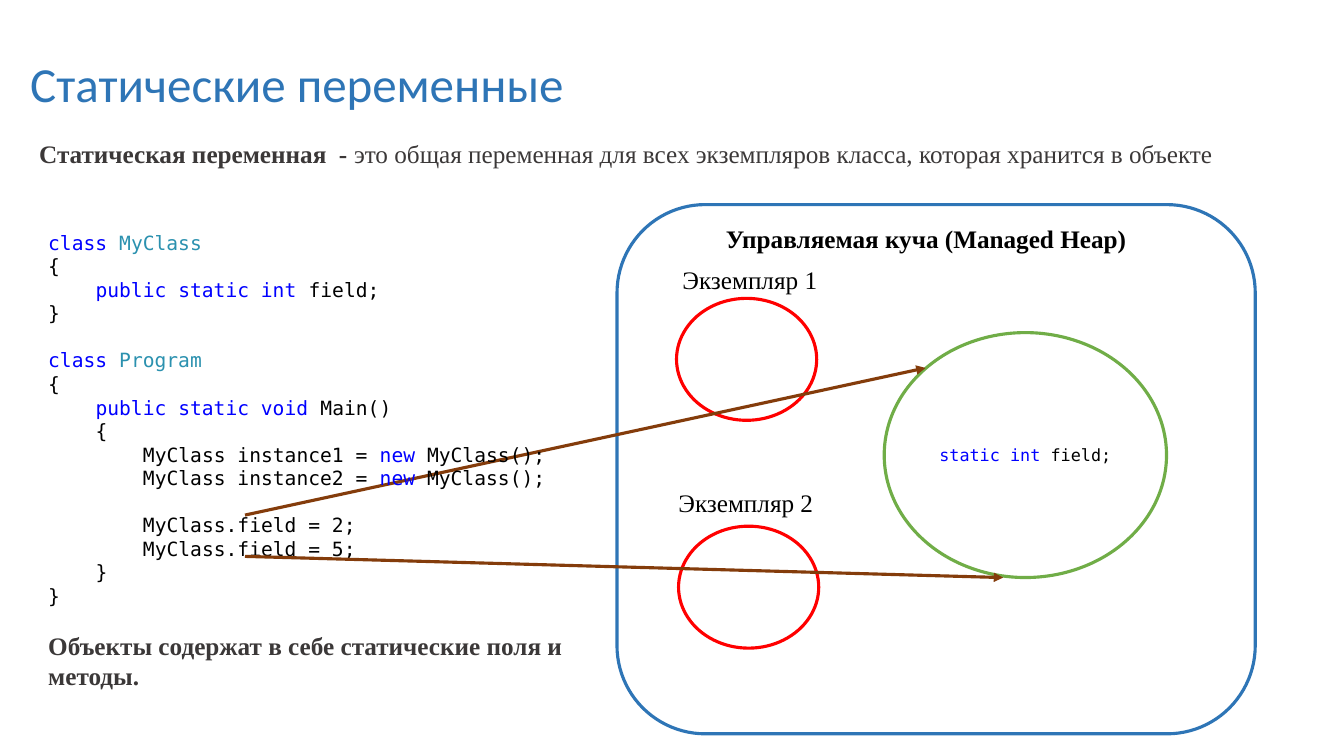
"""Build a slide on static variables: code on the left, the managed heap on the right."""
import pptx
import pptx.util
import pptx.dml.color
import pptx.enum.shapes
import pptx.enum.text
import pptx.oxml
import pptx.oxml.ns

Inches, Pt = pptx.util.Inches, pptx.util.Pt
RGB = pptx.dml.color.RGBColor
SHAPE = pptx.enum.shapes.MSO_SHAPE
ALIGN = pptx.enum.text.PP_ALIGN

BLUE = RGB(0x2E, 0x75, 0xB6)
GREEN = RGB(0x70, 0xAD, 0x47)
RED = RGB(0xFF, 0x00, 0x00)
BROWN = RGB(0x84, 0x3C, 0x0B)
GREY = RGB(0x3B, 0x38, 0x38)
BLACK = RGB(0x00, 0x00, 0x00)
WHITE = RGB(0xFF, 0xFF, 0xFF)
KEYWORD = RGB(0x00, 0x00, 0xFF)
TYPE = RGB(0x2B, 0x91, 0xAF)
SERIF, MONO = "Times New Roman", "DejaVu Sans Mono"
LINE_WIDTH = Pt(2.25)
INDENT = Inches(0.47)

prs = pptx.Presentation()
prs.slide_width, prs.slide_height = Inches(13.33), Inches(7.5)
s = prs.slides.add_slide(prs.slide_layouts[5])


def add_run(p, text, font, size, color, bold=False):
    r = p.add_run()
    r.text = text
    r.font.name, r.font.size, r.font.bold = font, Pt(size), bold
    r.font.color.rgb = color


def add_box(left, top, width, height):
    sp = s.shapes.add_textbox(Inches(left), Inches(top), Inches(width), Inches(height))
    sp.text_frame.word_wrap = True
    return sp.text_frame


title = s.shapes.title
title.left, title.top = Inches(0.2), Inches(0.48)
title.width, title.height = Inches(5.54), Inches(0.69)
title.text_frame.word_wrap = False
title.text_frame.auto_size = pptx.enum.text.MSO_AUTO_SIZE.NONE
p = title.text_frame.paragraphs[0]
p.alignment = ALIGN.LEFT
add_run(p, "Статические переменные", "Calibri", 35, BLUE)

p = add_box(0.29, 1.32, 12.47, 0.4).paragraphs[0]
add_run(p, "Статическая переменная  - ", SERIF, 18, GREY, True)
add_run(p, "это общая переменная для всех экземпляров класса, которая хранится в объекте",
        SERIF, 18, GREY)

outlines = [
    (SHAPE.ROUNDED_RECTANGLE, 6.12, 2.03, 6.33, 5.25, BLUE),
    (SHAPE.OVAL, 6.71, 2.96, 1.39, 1.21, RED),
    (SHAPE.OVAL, 6.73, 5.22, 1.39, 1.21, RED),
    (SHAPE.OVAL, 8.77, 3.3, 2.8, 2.43, GREEN),
]
for kind, left, top, width, height, color in outlines:
    sp = s.shapes.add_shape(kind, Inches(left), Inches(top), Inches(width), Inches(height))
    sp.shadow.inherit = False
    sp.fill.solid()
    sp.fill.fore_color.rgb = WHITE
    sp.line.color.rgb = color
    sp.line.width = LINE_WIDTH

static_object = sp
p = static_object.text_frame.paragraphs[0]
p.alignment = ALIGN.CENTER
add_run(p, "static int", MONO, 12, KEYWORD)
add_run(p, " field;", MONO, 12, BLACK)

labels = [
    ("Управляемая куча (Managed Heap)", 7.1, 2.17, 4.29, 0.4, BLACK, True),
    ("Экземпляр 1", 6.67, 2.57, 1.85, 0.4, BLACK, False),
    ("Экземпляр 2", 6.63, 4.79, 1.85, 0.4, BLACK, False),
    ("Объекты содержат в себе статические поля и методы.",
     0.38, 6.2, 5.45, 0.71, GREY, True),
]
for text, left, top, width, height, color, bold in labels:
    p = add_box(left, top, width, height).paragraphs[0]
    add_run(p, text, SERIF, 18, color, bold)

arrows = []
for x1, y1, x2, y2 in [(2.43, 5.11, 9.18, 3.65), (2.43, 5.52, 9.95, 5.73)]:
    arrow = s.shapes.add_connector(pptx.enum.shapes.MSO_CONNECTOR.STRAIGHT,
                                   Inches(x1), Inches(y1), Inches(x2), Inches(y2))
    arrow.line.color.rgb = BROWN
    arrow.line.width = LINE_WIDTH
    ln = arrow.line._get_or_add_ln()
    ln.append(pptx.oxml.parse_xml(
        f'<a:tailEnd {pptx.oxml.ns.nsdecls("a")} type="triangle"/>'))
    arrow._element.spPr.append(pptx.oxml.parse_xml(
        f'<a:effectLst {pptx.oxml.ns.nsdecls("a")}/>'))
    arrows.append(arrow)

code = [
    (0, [("class ", KEYWORD), ("MyClass", TYPE)]),
    (0, [("{", BLACK)]),
    (1, [("public static int", KEYWORD), (" field;", BLACK)]),
    (0, [("}", BLACK)]),
    (0, [("class ", KEYWORD), ("Program", TYPE)]),
    (0, [("{", BLACK)]),
    (1, [("public static void", KEYWORD), (" Main()", BLACK)]),
    (1, [("{", BLACK)]),
    (2, [("MyClass instance1 = ", BLACK), ("new ", KEYWORD), ("MyClass();", BLACK)]),
    (2, [("MyClass instance2 = ", BLACK), ("new ", KEYWORD), ("MyClass();", BLACK)]),
    (2, [("MyClass.field = 2;", BLACK)]),
    (2, [("MyClass.field = 5;", BLACK)]),
    (1, [("}", BLACK)]),
    (0, [("}", BLACK)]),
]
block_starts = (4, 10)
tf = add_box(0.38, 2.24, 6.67, 3.87)
for i, (depth, runs) in enumerate(code):
    p = tf.add_paragraph() if i else tf.paragraphs[0]
    p._p.get_or_add_pPr().set("marL", str(depth * INDENT))
    if i in block_starts:
        p.space_before = Pt(16.8)
    for text, color in runs:
        add_run(p, text, MONO, 14, color)

s.shapes._spTree.append(arrows[1]._element)

prs.save("out.pptx")
